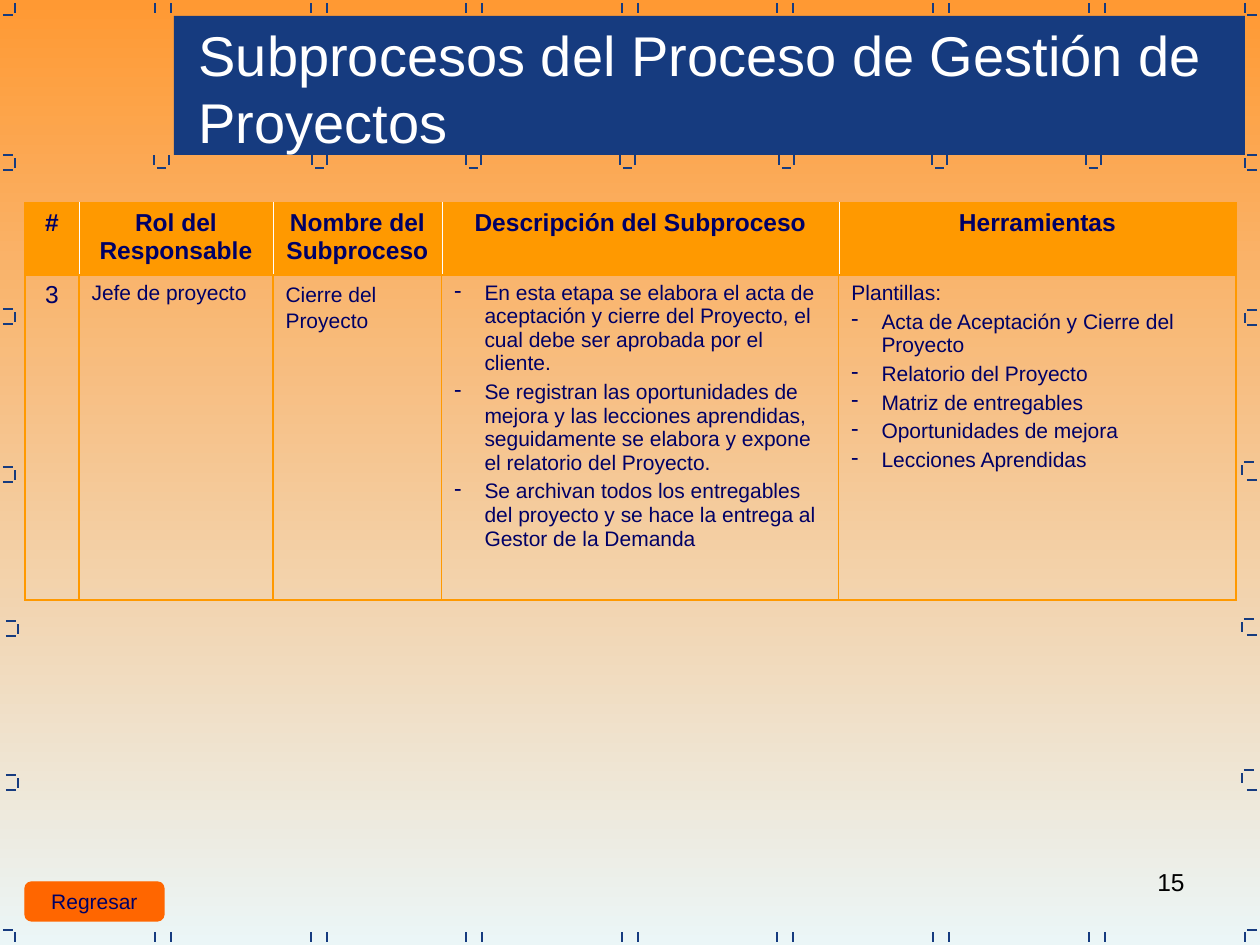
"""Build the slide on the project closing subprocess."""
import pptx
import pptx.dml.color
import pptx.enum.shapes
import pptx.enum.text
import pptx.oxml
import pptx.oxml.ns
import pptx.util

TITLE = "Subprocesos del Proceso de Gestión de Proyectos"
PAGE = "15"
BACK = "Regresar"
HEADERS = ["#", "Rol del Responsable", "Nombre del Subproceso",
           "Descripción del Subproceso", "Herramientas"]
DETAILS = [
    ["3"],
    ["Jefe de proyecto"],
    ["Cierre del Proyecto"],
    ["- En esta etapa se elabora el acta de aceptación y cierre del Proyecto, "
     "el cual debe ser aprobada por el cliente.",
     "- Se registran las oportunidades de mejora y las lecciones aprendidas, "
     "seguidamente se elabora y expone el relatorio del Proyecto.",
     "- Se archivan todos los entregables del proyecto y se hace la entrega "
     "al Gestor de la Demanda"],
    ["Plantillas:",
     "- Acta de Aceptación y Cierre del Proyecto",
     "- Relatorio del Proyecto",
     "- Matriz de entregables",
     "- Oportunidades de mejora",
     "- Lecciones Aprendidas"],
]
COLORS = {"navy": "163B7F", "ink": "000066", "amber": "FF9900", "button": "FF6600",
          "sky_top": "FF9933", "sky_bottom": "EBF6F7", "white": "FFFFFF", "black": "000000"}
FONT = "Arial"
SCALE = 914400 / 126
WIDTH, HEIGHT = 1260, 945
TABLE_AT = (25, 203)
COLUMNS = [54, 194, 169, 397, 397]
ROWS = [72, 325]
BULLET_INDENT = 30
EDGE_STARTS = [155 + round(155.6 * i) for i in range(7)]
BAND_STARTS = [154, 312, 466, 620, 779, 932, 1086]
LEFT_MARKS = [(155, 0), (309, 0), (467, 0), (621, 3), (775, 3)]
RIGHT_MARKS = [(155, 170, 0), (310, 325, 0), (462, 480, 3), (619, 635, 3), (770, 790, 3)]


def px(length):
    return pptx.util.Emu(round(length * SCALE))


def rgb(name):
    return pptx.dml.color.RGBColor.from_string(COLORS[name])


def write(paragraph, text, size, color, align="LEFT", bold=False):
    paragraph.alignment = getattr(pptx.enum.text.PP_ALIGN, align)
    run = paragraph.add_run()
    run.text = text
    run.font.name, run.font.size, run.font.bold = FONT, pptx.util.Pt(size), bold
    run.font.color.rgb = rgb(color)


def add_xml(parent, xml, index=None):
    head, rest = xml.split(" ", 1)
    element = pptx.oxml.parse_xml(f"{head} {pptx.oxml.ns.nsdecls('a')} {rest}")
    parent.insert(len(parent) if index is None else index, element)


def add_mark(slide, x1, y1, x2, y2):
    mark = slide.shapes.add_connector(
        pptx.enum.shapes.MSO_CONNECTOR.STRAIGHT, px(x1), px(y1), px(x2), px(y2))
    mark.line.color.rgb = rgb("navy")
    mark.line.width = pptx.util.Pt(0.75)
    add_xml(mark._element.spPr, "<a:effectLst />")


def add_block(slide, kind, box, color):
    block = slide.shapes.add_shape(
        getattr(pptx.enum.shapes.MSO_SHAPE, kind), *map(px, box))
    block.shadow.inherit = False
    block.fill.solid()
    block.fill.fore_color.rgb = rgb(color)
    block.line.fill.background()
    return block


def frame_marks():
    for start in EDGE_STARTS:
        for x in (start, start + 16):
            yield x, 13, x, 3
            yield x, 942, x, 932
    for x in BAND_STARTS:
        yield x, 165, x, 155
        yield x + 15, 165, x + 15, 155
        yield x + 3, 168, x + 12, 168
    for x, start in ((15, 3), (1245, 1247)):
        for top, bar in ((3, 15), (932, 930)):
            yield x, top + 10, x, top
            yield start, bar, start + 10, bar
    for top, shift in LEFT_MARKS:
        yield 15 + shift, top + 13, 15 + shift, top + 3
        for y in (top, top + 15):
            yield 3 + shift, y, 13 + shift, y
    for top, bottom, shift in RIGHT_MARKS:
        yield 1245 - shift, top + 13, 1245 - shift, top + 3
        yield 1247 - shift, top, 1257 - shift, top
        yield 1247, bottom, 1257, bottom


def set_borders(cell, row, column):
    last = len(COLUMNS) - 1
    inner = ("white", 0.45) if row == 0 else ("amber", 0.75)
    outer, middle = ("amber", 1.08), ("amber", 0.75)
    borders = {"lnL": outer if column == 0 else inner,
               "lnR": outer if column == last else inner,
               "lnT": outer if row == 0 else middle,
               "lnB": middle if row == 0 else outer}
    properties = cell._tc.get_or_add_tcPr()
    for index, (side, (color, width)) in enumerate(borders.items()):
        add_xml(properties, f'<a:{side} w="{pptx.util.Pt(width)}"><a:solidFill>'
                f'<a:srgbClr val="{COLORS[color]}"/></a:solidFill></a:{side}>', index)


def fill_detail(cell, column, lines):
    for index, line in enumerate(lines):
        frame = cell.text_frame
        paragraph = frame.paragraphs[0] if index == 0 else frame.add_paragraph()
        if index:
            paragraph.space_before = pptx.util.Pt(3)
        if column == 2:
            paragraph.line_spacing = 1.1
        if line.startswith("- "):
            properties = paragraph._p.get_or_add_pPr()
            properties.set("marL", str(px(BULLET_INDENT)))
            properties.set("indent", str(-px(BULLET_INDENT)))
            add_xml(properties, f'<a:buClr ><a:srgbClr val="{COLORS["ink"]}"/></a:buClr>')
            add_xml(properties, '<a:buChar char="-"/>')
        write(paragraph, line.removeprefix("- "), 14 if column == 0 else 12, "ink",
              "CENTER" if column == 0 else "LEFT")


def add_subprocess_table(slide):
    table = slide.shapes.add_table(len(ROWS), len(COLUMNS), *map(
        px, (*TABLE_AT, sum(COLUMNS), sum(ROWS)))).table
    table.horz_banding = False
    for row, height in enumerate(ROWS):
        table.rows[row].height = px(height)
    for column, width in enumerate(COLUMNS):
        table.columns[column].width = px(width)
        header, detail = table.cell(0, column), table.cell(1, column)
        header.fill.solid()
        header.fill.fore_color.rgb = rgb("amber")
        detail.fill.background()
        write(header.text_frame.paragraphs[0], HEADERS[column], 14, "ink", "CENTER", True)
        fill_detail(detail, column, DETAILS[column])
        set_borders(header, 0, column)
        set_borders(detail, 1, column)


def main():
    deck = pptx.Presentation()
    deck.slide_width, deck.slide_height = px(WIDTH), px(HEIGHT)
    slide = deck.slides.add_slide(deck.slide_layouts[5])
    sky = slide.background.fill
    sky.gradient()
    sky.gradient_angle = 270
    for stop, color in zip(sky.gradient_stops, ("sky_top", "sky_bottom")):
        stop.color.rgb = rgb(color)

    page = slide.shapes.add_textbox(*map(px, (903, 861, 294, 66))).text_frame
    page.word_wrap = True
    write(page.paragraphs[0], PAGE, 14, "black", "RIGHT")
    for mark in frame_marks():
        add_mark(slide, *mark)
    add_block(slide, "RECTANGLE", (174, 16, 1071, 139), "navy")
    add_subprocess_table(slide)

    back = add_block(slide, "FLOWCHART_ALTERNATE_PROCESS", (25, 882, 139, 39), "button")
    back.line.color.rgb = rgb("button")
    back.line.width = pptx.util.Pt(0.75)
    back.text_frame.word_wrap = False
    back.text_frame.vertical_anchor = pptx.enum.text.MSO_ANCHOR.MIDDLE
    write(back.text_frame.paragraphs[0], BACK, 12, "ink", "CENTER")

    title = slide.shapes.title
    title.left, title.top, title.width, title.height = map(px, (186, 14, 1048, 147))
    title.text_frame.word_wrap = True
    title.text_frame.auto_size = pptx.enum.text.MSO_AUTO_SIZE.SHAPE_TO_FIT_TEXT
    title.text_frame.vertical_anchor = pptx.enum.text.MSO_ANCHOR.TOP
    write(title.text_frame.paragraphs[0], TITLE, 32, "white")
    slide.shapes._spTree.append(title._element)
    deck.save("out.pptx")


if __name__ == "__main__":
    main()
